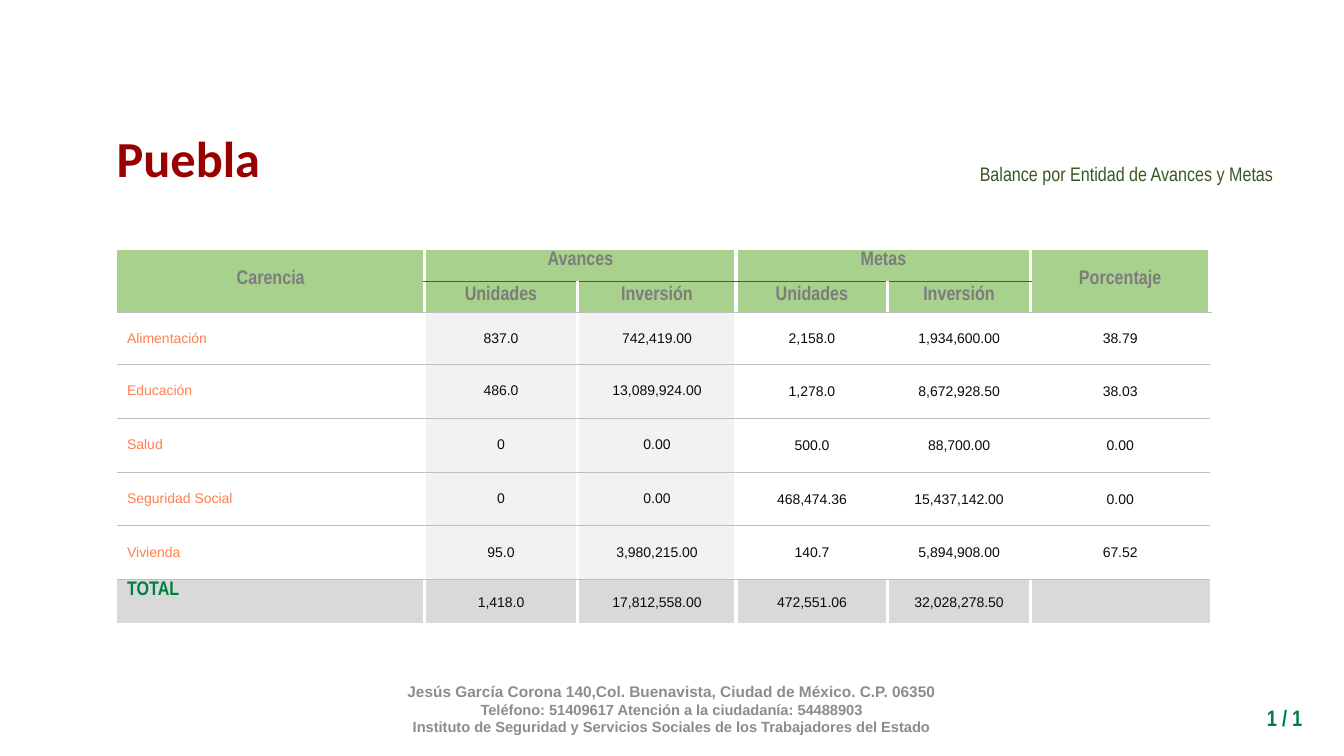
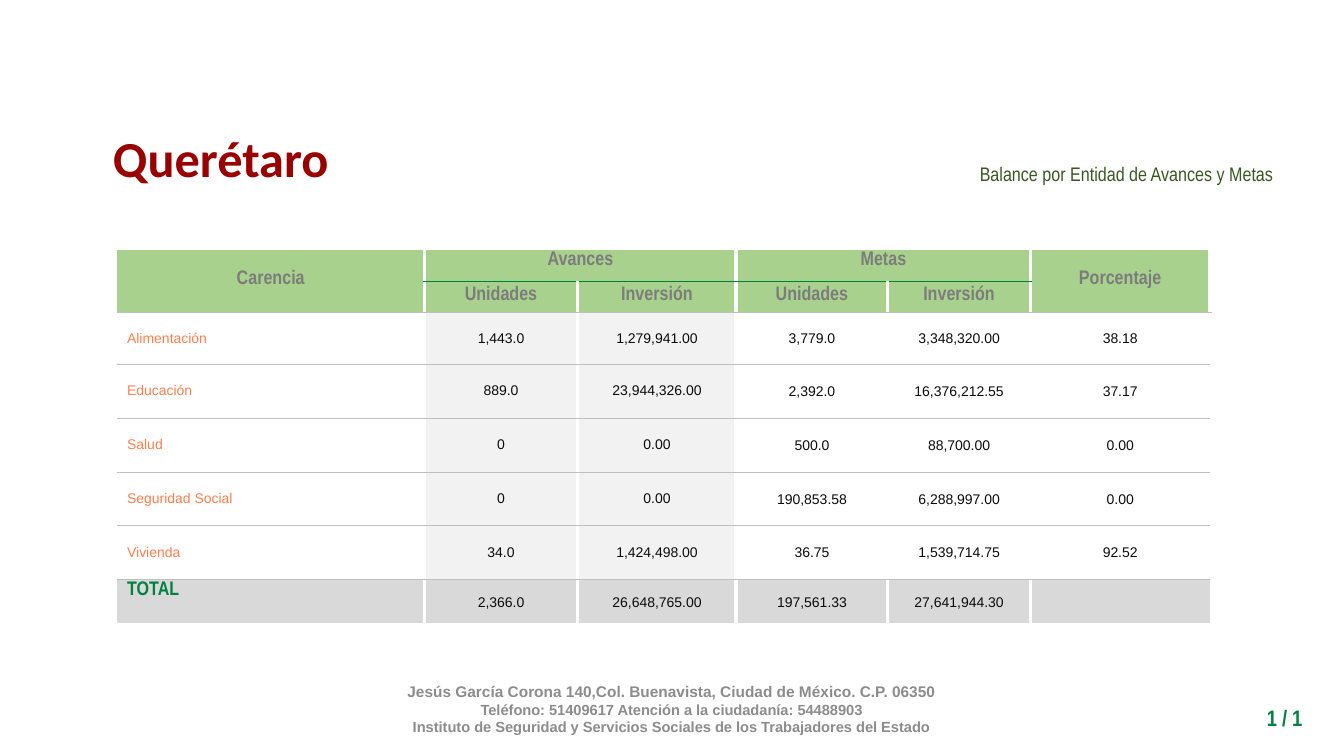
from lxml.etree import SubElement
from pptx import Presentation
from pptx.dml.color import RGBColor
from pptx.enum.text import MSO_ANCHOR, PP_ALIGN
from pptx.oxml.ns import qn
from pptx.util import Pt

COLORS = {
    "title": "990000", "subtitle": "385723", "footer": "8C8C8C",
    "green": "008040", "header_fill": "A9D18E", "header_text": "7C7C7C",
    "need": "FF7F50", "figure": "0B0B0B", "progress_fill": "F2F2F2",
    "total_fill": "D9D9D9", "rule": "BFBFBF", "white": "FFFFFF",
}
NO_TABLE_STYLE = "{2D5ABB26-0587-4C30-8999-92F81FD0307C}"
COLUMN_WIDTHS = [219.6, 109.4, 113.4, 108, 102.2, 128]
ROW_HEIGHTS = [22.2, 22.2, 37.2] + [38.45] * 4 + [32.6]
HEADERS = [
    ["Carencia", "Avances", "", "Metas", "", "Porcentaje"],
    ["", "Unidades", "Inversión", "Unidades", "Inversión", ""],
]
HEADER_SPANS = [(0, 0, 1, 0), (0, 1, 0, 2), (0, 3, 0, 4), (0, 5, 1, 5)]
NEEDS = ["Alimentación", "Educación", "Salud", "Seguridad Social", "Vivienda", "TOTAL"]
ADDRESS = [
    ("Jesús García Corona 140,Col. Buenavista, Ciudad de México. C.P. 06350", 11),
    ("Teléfono: 51409617 Atención a la ciudadanía: 54488903", 10.5),
    ("Instituto de Seguridad y Servicios Sociales de los Trabajadores del Estado", 10.5),
]
STATES = [
    ("Puebla", 75.6, 118, [
        ["837.0", "742,419.00", "2,158.0", "1,934,600.00", "38.79"],
        ["486.0", "13,089,924.00", "1,278.0", "8,672,928.50", "38.03"],
        ["0", "0.00", "500.0", "88,700.00", "0.00"],
        ["0", "0.00", "468,474.36", "15,437,142.00", "0.00"],
        ["95.0", "3,980,215.00", "140.7", "5,894,908.00", "67.52"],
        ["1,418.0", "17,812,558.00", "472,551.06", "32,028,278.50", ""],
    ]),
    ("Querétaro", 72.7, 170, [
        ["1,443.0", "1,279,941.00", "3,779.0", "3,348,320.00", "38.18"],
        ["889.0", "23,944,326.00", "2,392.0", "16,376,212.55", "37.17"],
        ["0", "0.00", "500.0", "88,700.00", "0.00"],
        ["0", "0.00", "190,853.58", "6,288,997.00", "0.00"],
        ["34.0", "1,424,498.00", "36.75", "1,539,714.75", "92.52"],
        ["2,366.0", "26,648,765.00", "197,561.33", "27,641,944.30", ""],
    ]),
]


class BalanceDeck:
    """Holds the shared style and the slide being built."""

    def __init__(self):
        self.presentation = Presentation()
        self.presentation.slide_width = Pt(960)
        self.presentation.slide_height = Pt(540)
        self.slide = None

    def new_slide(self):
        self.slide = self.presentation.slides.add_slide(self.presentation.slide_layouts[6])

    def style(self, paragraph, size, font, color, bold=False, align=PP_ALIGN.CENTER):
        paragraph.alignment = align
        paragraph.font.size = Pt(size)
        paragraph.font.name = font
        paragraph.font.bold = bold
        paragraph.font.color.rgb = RGBColor.from_string(COLORS[color])

    def text_frame(self, left, top, width, height, anchor=MSO_ANCHOR.MIDDLE):
        frame = self.slide.shapes.add_textbox(Pt(left), Pt(top), Pt(width), Pt(height)).text_frame
        frame.word_wrap = True
        frame.vertical_anchor = anchor
        return frame

    def title(self, state, left, width):
        frame = self.text_frame(left, 87, width, 51, MSO_ANCHOR.TOP)
        frame.word_wrap = False
        heading = frame.paragraphs[0]
        heading.text = state
        self.style(heading, 36, "Calibri", "title", True)

    def subtitle(self, wording):
        caption = self.text_frame(481.7, 88.6, 435, 68.4).paragraphs[0]
        caption.text = wording
        caption.line_spacing = 1.15
        self.style(caption, 14, "Arial Narrow", "subtitle", align=PP_ALIGN.RIGHT)

    def footer(self, page):
        frame = self.text_frame(207.4, 492, 545, 28.8)
        for index, (wording, size) in enumerate(ADDRESS):
            line = frame.add_paragraph() if index else frame.paragraphs[0]
            line.text = wording
            self.style(line, size, "Arial", "footer", True)
        number = self.text_frame(846.7, 499.7, 90.7, 26.6, MSO_ANCHOR.TOP).paragraphs[0]
        number.text = page
        self.style(number, 16, "Arial Narrow", "green", True, PP_ALIGN.RIGHT)

    def borders(self, cell, **sides):
        properties = cell._tc.get_or_add_tcPr()
        position = 0
        for side in ("L", "R", "T", "B"):
            if side in sides:
                color, width = sides[side]
                line = SubElement(properties, qn(f"a:ln{side}"), w=str(Pt(width)))
                fill = SubElement(line, qn("a:solidFill"))
                SubElement(fill, qn("a:srgbClr"), val=COLORS[color])
                properties.insert(position, line)
                position += 1

    def cell_borders(self, cell, row, column):
        gap, rule, divider = ("white", 3), ("rule", 0.5), ("green", 0.25)
        grouped = 0 < column < len(COLUMN_WIDTHS) - 1
        sides = {"B": rule}
        if column > 0:
            sides["L"] = gap
        if column < len(COLUMN_WIDTHS) - 1:
            sides["R"] = gap
        if row > 1:
            sides["T"] = rule
        if row == 0 and grouped:
            sides["B"] = divider
        if row == 1:
            sides["T"] = divider
        if row == len(ROW_HEIGHTS) - 1:
            sides["B"] = gap
        self.borders(cell, **sides)

    def cell(self, cell, wording, row, column):
        header, total = row < 2, row == len(ROW_HEIGHTS) - 1
        label = column == 0 and not header
        fill = ("header_fill" if header else "total_fill" if total
                else "progress_fill" if column in (1, 2) else "white")
        cell.fill.solid()
        cell.fill.fore_color.rgb = RGBColor.from_string(COLORS[fill])
        cell.vertical_anchor = MSO_ANCHOR.MIDDLE
        if header:
            cell.margin_top, cell.margin_bottom = Pt(0), Pt(2)
        elif column > 2:
            cell.margin_left = cell.margin_right = cell.margin_top = Pt(0.7)
            cell.margin_bottom = Pt(0)
        if (row == 0 and 0 < column < 5) or (total and label):
            cell.vertical_anchor = MSO_ANCHOR.TOP
            cell.margin_top = Pt(1)
        paragraph = cell.text_frame.paragraphs[0]
        paragraph.text = wording
        align = PP_ALIGN.LEFT if label else PP_ALIGN.CENTER
        if header or (total and label):
            color = "header_text" if header else "green"
            self.style(paragraph, 14, "Arial Narrow", color, True, align)
        else:
            self.style(paragraph, 10, "Arial", "need" if label else "figure", align=align)

    def balance_table(self, figures):
        rows = HEADERS + [[need] + values for need, values in zip(NEEDS, figures)]
        table = self.slide.shapes.add_table(
            len(rows), len(COLUMN_WIDTHS), Pt(83.6), Pt(178.6),
            Pt(sum(COLUMN_WIDTHS)), Pt(sum(ROW_HEIGHTS))).table
        table.first_row = table.horz_banding = False
        table._tbl.tblPr.find(qn("a:tableStyleId")).text = NO_TABLE_STYLE
        for column, width in zip(table.columns, COLUMN_WIDTHS):
            column.width = Pt(width)
        for row, height in zip(table.rows, ROW_HEIGHTS):
            row.height = Pt(height)
        for top, left, bottom, right in HEADER_SPANS:
            table.cell(top, left).merge(table.cell(bottom, right))
        for row, wordings in enumerate(rows):
            for column, wording in enumerate(wordings):
                cell = table.cell(row, column)
                if not cell.is_spanned:
                    self.cell(cell, wording, row, column)
                    self.cell_borders(cell, row, column)


def main():
    deck = BalanceDeck()
    for state, left, width, figures in STATES:
        deck.new_slide()
        deck.footer("1 / 1")
        deck.balance_table(figures)
        deck.subtitle("Balance por Entidad de Avances y Metas")
        deck.title(state, left, width)
    deck.presentation.save("out.pptx")


if __name__ == "__main__":
    main()
